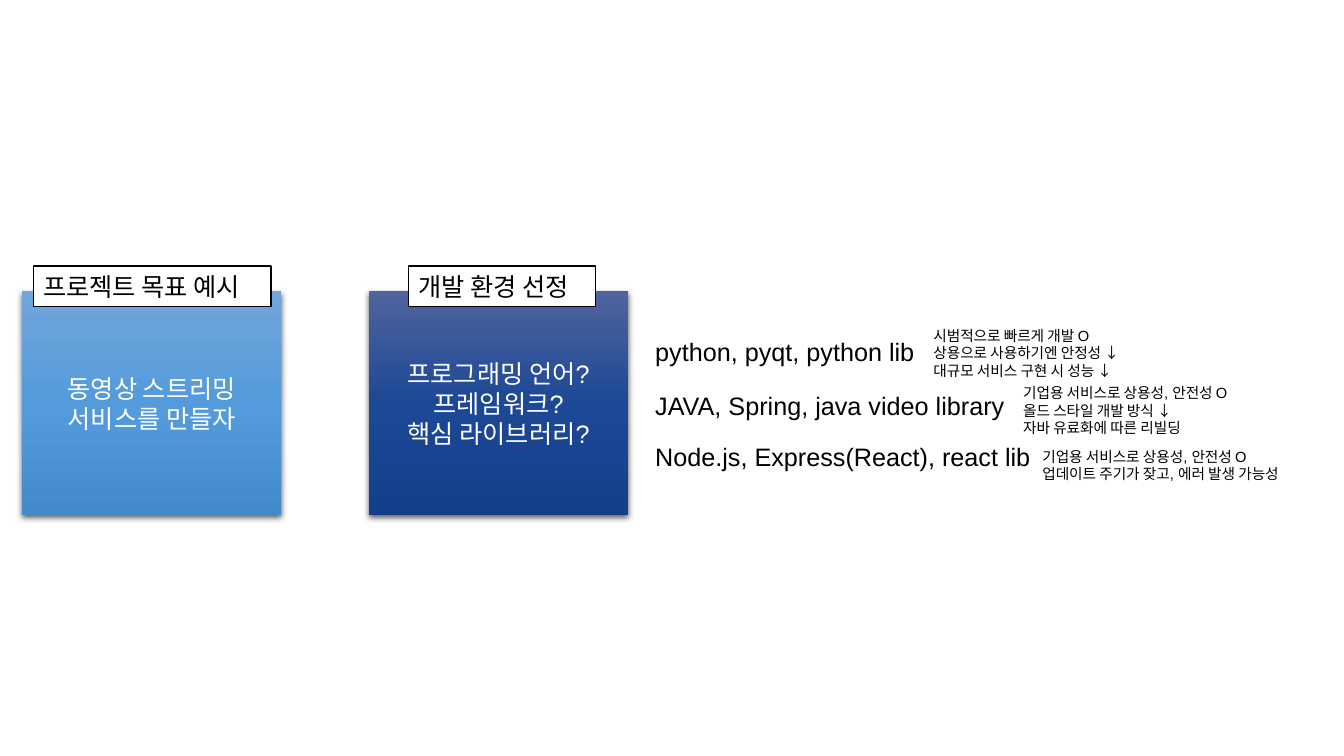
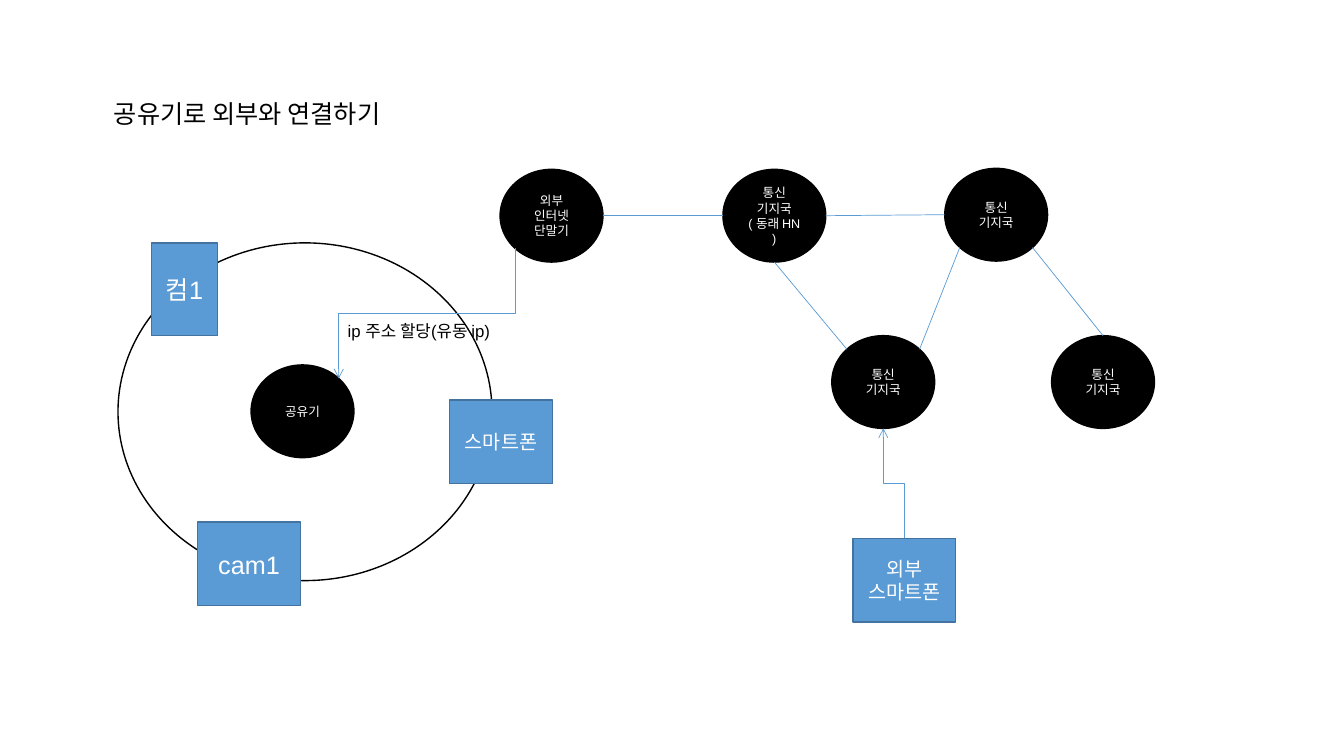
from math import cos, radians, sin

from lxml import etree
from pptx import Presentation
from pptx.dml.color import RGBColor
from pptx.enum import shapes, text
from pptx.oxml import ns
from pptx.util import Inches, Pt

FONT = "Arial"
COLORS = {
    "ink": "000000",
    "paper": "FFFFFF",
    "device": "5A9BD5",
    "device_edge": "43739E",
}
GOAL_GRADIENT = ("71A6DB", "549BDB", "438ACA")
STACK_GRADIENT = ("50649E", "1D4895", "143F8A")
CARD_SIZE = (2.57, 2.22)
NODE_SIZE = (1.02, 0.92)
DEVICE_SIZE = (1.02, 0.83)
LAYOUT_TITLE_ONLY, LAYOUT_BLANK = 5, 6


def rgb(name):
    return RGBColor.from_string(COLORS[name])


def add_xml(parent, tag, **attributes):
    return etree.SubElement(parent, ns.qn(tag), attributes)


def write(shape, words, size, color="ink", align=text.PP_ALIGN.LEFT,
          anchor=text.MSO_ANCHOR.TOP):
    frame = shape.text_frame
    frame.word_wrap = True
    frame.auto_size = text.MSO_AUTO_SIZE.NONE
    frame.vertical_anchor = anchor
    frame.text = words
    for paragraph in frame.paragraphs:
        paragraph.alignment = align
        for run in paragraph.runs:
            run.font.name = FONT
            run.font.size = Pt(size)
            run.font.color.rgb = rgb(color)


def write_centered(shape, words, size):
    write(shape, words, size, "paper", text.PP_ALIGN.CENTER,
          text.MSO_ANCHOR.MIDDLE)


def add_text(slide, words, left, top, width, height, size):
    box = slide.shapes.add_textbox(
        Inches(left), Inches(top), Inches(width), Inches(height))
    write(box, words, size)


def add_figure(slide, kind, left, top, size, fill, edge):
    figure = slide.shapes.add_shape(
        kind, Inches(left), Inches(top), Inches(size[0]), Inches(size[1]))
    figure.shadow.inherit = False
    figure.fill.solid()
    figure.fill.fore_color.rgb = rgb(fill)
    figure.line.color.rgb = rgb(edge)
    figure.line.width = Pt(1)
    return figure


def add_gradient(card, stops):
    card.fill.gradient()
    card.fill.gradient_angle = 270
    stop_list = card.element.spPr.find(
        f"{ns.qn('a:gradFill')}/{ns.qn('a:gsLst')}")
    for stop in list(stop_list):
        stop_list.remove(stop)
    for index, color in enumerate(stops):
        stop = add_xml(stop_list, "a:gs", pos=str(index * 50000))
        add_xml(stop, "a:srgbClr", val=color)


def add_shadow(card):
    effects = card.element.spPr.find(ns.qn("a:effectLst"))
    shadow = add_xml(effects, "a:outerShdw", blurRad=str(Pt(4.5)),
                     dist=str(Pt(1.5)), dir="5400000", algn="ctr",
                     rotWithShape="0")
    color = add_xml(shadow, "a:srgbClr", val=COLORS["ink"])
    add_xml(color, "a:alpha", val="63000")


def add_card(slide, left, words, gradient, label, label_left, label_width):
    top = 2.89
    card = add_figure(slide, shapes.MSO_SHAPE.RECTANGLE, left, top,
                      CARD_SIZE, "paper", "paper")
    add_gradient(card, gradient)
    card.line.fill.background()
    add_shadow(card)
    write_centered(card, words, 18)
    tag = add_figure(slide, shapes.MSO_SHAPE.RECTANGLE, label_left, top - 0.25,
                     (label_width, 0.4), "paper", "ink")
    write(tag, label, 18)


def add_node(slide, left, top, words):
    node = add_figure(slide, shapes.MSO_SHAPE.OVAL, left, top, NODE_SIZE,
                      "ink", "ink")
    write_centered(node, words, 9)
    return node


def add_device(slide, left, top, words, size, box=DEVICE_SIZE):
    device = add_figure(slide, shapes.MSO_SHAPE.RECTANGLE, left, top, box,
                        "device", "device_edge")
    write_centered(device, words, size)
    return device


def rim(node, degrees):
    angle = radians(degrees)
    return (node.left + round(node.width / 2 * (1 + cos(angle))),
            node.top + round(node.height / 2 * (1 + sin(angle))))


def add_link(slide, start, end, kind=shapes.MSO_CONNECTOR.STRAIGHT):
    link = slide.shapes.add_connector(kind, *start, *end)
    link.line.color.rgb = rgb("device")
    link.line.width = Pt(0.5)
    add_xml(link.element.spPr, "a:effectLst")
    return link


def add_vertical_elbow(slide, tip, origin):
    across, down = origin[0] - tip[0], origin[1] - tip[1]
    upward = down < 0
    center_x, center_y = tip[0] + across // 2, tip[1] + down // 2
    half_width, half_height = abs(down) // 2, abs(across) // 2
    if (across > 0) != upward:
        half_height = -half_height
    elbow = add_link(slide,
                     (center_x + half_width, center_y + half_height),
                     (center_x - half_width, center_y - half_height),
                     shapes.MSO_CONNECTOR.ELBOW)
    frame = elbow.element.spPr.find(ns.qn("a:xfrm"))
    frame.set("rot", str((90 if upward else 270) * 60000))
    add_xml(elbow.element.spPr.find(ns.qn("a:ln")), "a:headEnd", type="arrow")


def build_project_slide(deck):
    slide = deck.slides.add_slide(deck.slide_layouts[LAYOUT_BLANK])
    add_card(slide, 0.22, "동영상 스트리밍 서비스를 만들자", GOAL_GRADIENT,
             "프로젝트 목표 예시", 0.33, 2.36)
    add_card(slide, 3.66, "프로그래밍 언어?\n프레임워크?\n핵심 라이브러리?",
             STACK_GRADIENT, "개발 환경 선정", 4.05, 1.86)
    stacks = [
        ("python, pyqt, python lib", 3.29, 2.8),
        ("JAVA, Spring, java video library", 3.82, 3.85),
        ("Node.js, Express(React), react lib", 4.33, 3.96),
    ]
    for words, top, width in stacks:
        add_text(slide, words, 6.4, top, width, 0.4, 18)
    reviews = [
        ("시범적으로 빠르게 개발 O\n상용으로 사용하기엔 안정성 ↓\n"
         "대규모 서비스 구현 시 성능 ↓", 9.16, 3.19, 2.16, 0.63),
        ("기업용 서비스로 상용성, 안전성 O\n올드 스타일 개발 방식 ↓\n"
         "자바 유료화에 따른 리빌딩", 10.05, 3.76, 2.43, 0.63),
        ("기업용 서비스로 상용성, 안전성 O\n"
         "업데이트 주기가 잦고, 에러 발생 가능성", 10.24, 4.39, 2.8, 0.45),
    ]
    for review in reviews:
        add_text(slide, *review, 10.5)


def build_network_slide(deck):
    slide = deck.slides.add_slide(deck.slide_layouts[LAYOUT_TITLE_ONLY])
    title = slide.shapes.title
    title.left, title.top = Inches(1.03), Inches(0.93)
    title.width, title.height = Inches(3.19), Inches(0.4)
    write(title, "공유기로 외부와 연결하기", 18)

    add_figure(slide, shapes.MSO_SHAPE.OVAL, 1.17, 2.41, (3.71, 3.35),
               "paper", "ink")
    router = add_node(slide, 2.49, 3.62, "공유기")
    add_device(slide, 1.5, 2.41, "컴1", 18, (0.66, 0.92))
    add_device(slide, 1.96, 5.18, "cam1", 18)
    add_device(slide, 4.46, 3.97, "스마트폰", 14)

    terminal = add_node(slide, 4.96, 1.68, "외부 인터넷\n단말기")
    local_station = add_node(slide, 7.17, 1.68, "통신 기지국\n( 동래 HN )")
    upper_station, lower_station, far_station = (
        add_node(slide, left, top, "통신 기지국")
        for left, top in ((9.37, 1.67), (8.25, 3.33), (10.43, 3.33)))
    outside_phone = add_device(slide, 8.46, 5.34, "외부\n스마트폰", 14)

    links = [
        (terminal, 0, local_station, 180),
        (local_station, 0, upper_station, 180),
        (local_station, 90, lower_station, 225),
        (upper_station, 45, far_station, 270),
        (upper_station, 135, lower_station, 315),
    ]
    for first, first_angle, second, second_angle in links:
        add_link(slide, rim(first, first_angle), rim(second, second_angle))
    add_vertical_elbow(slide, rim(router, 315), rim(terminal, 135))
    add_vertical_elbow(slide, rim(lower_station, 90), rim(outside_phone, 270))
    add_text(slide, "ip 주소 할당(유동 ip)", 3.35, 3.13, 1.73, 0.3, 12)


def main():
    deck = Presentation()
    deck.slide_width, deck.slide_height = Inches(13.33), Inches(7.5)
    build_project_slide(deck)
    build_network_slide(deck)
    deck.save("out.pptx")


if __name__ == "__main__":
    main()
